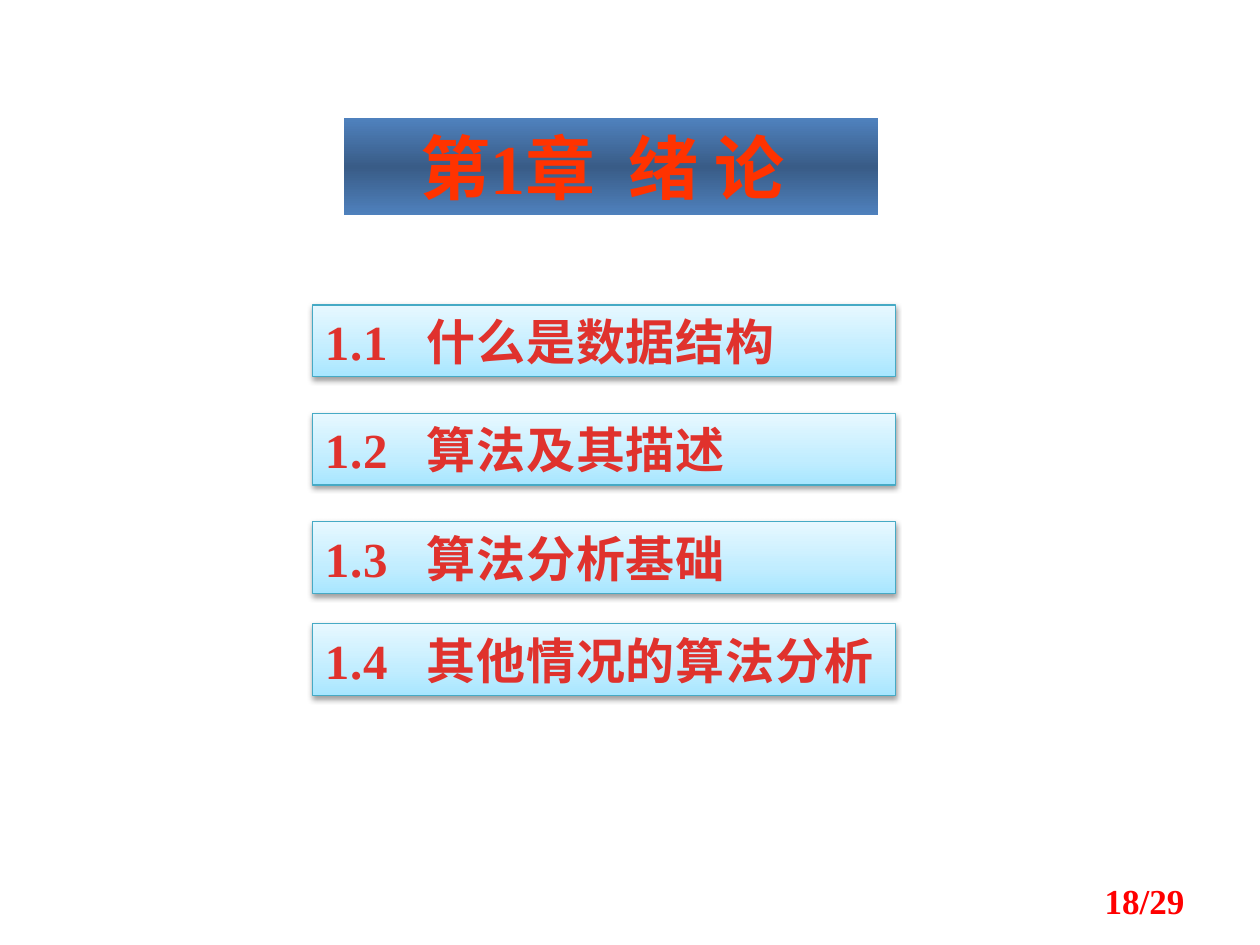
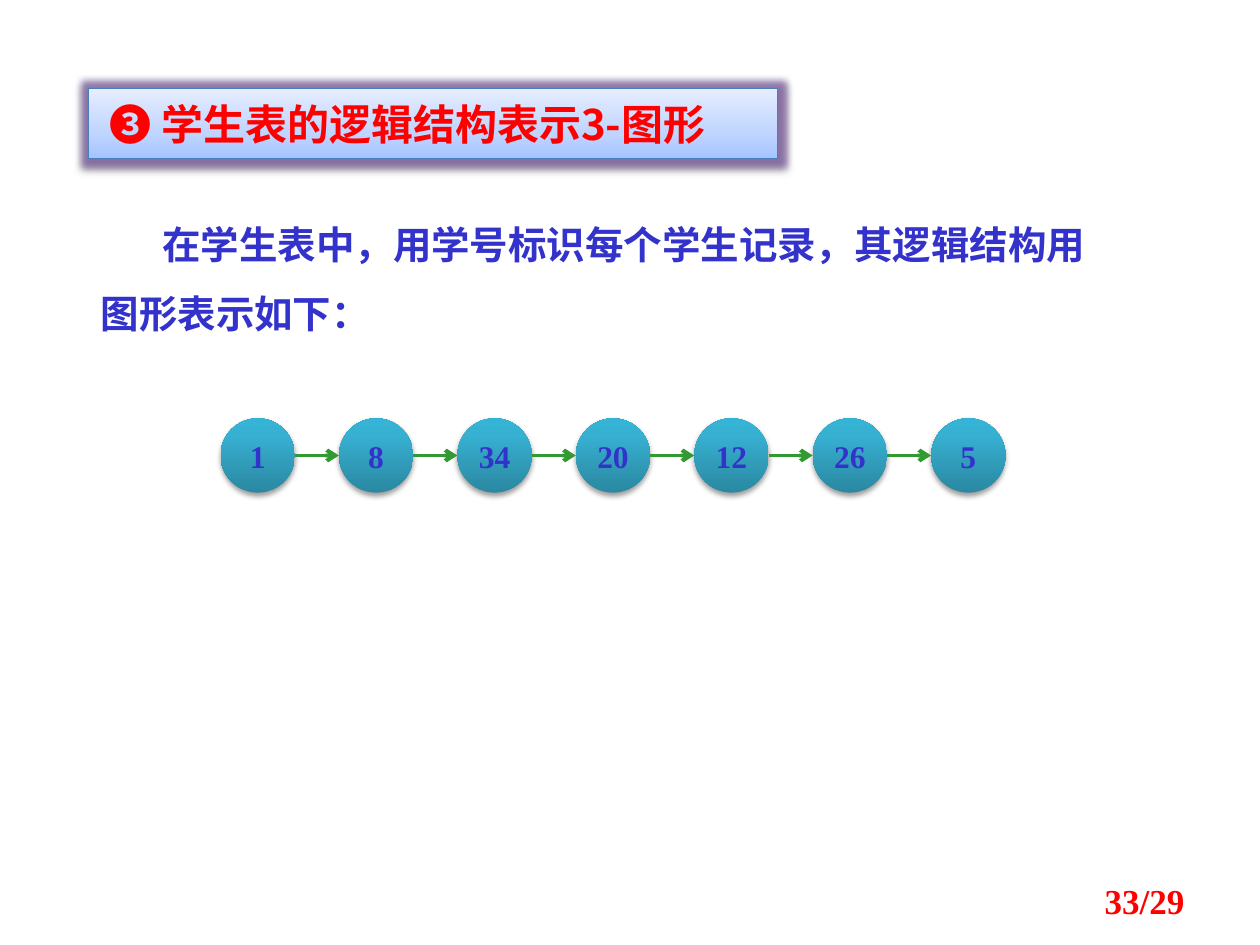
from pptx import Presentation
from pptx.dml.color import RGBColor
from pptx.enum.shapes import MSO_CONNECTOR as CONNECTOR, MSO_SHAPE as SHAPE
from pptx.enum.text import MSO_ANCHOR as ANCHOR, MSO_AUTO_SIZE as AUTO_SIZE, PP_ALIGN as ALIGN
from pptx.oxml import parse_xml
from pptx.oxml.ns import nsdecls, qn
from pptx.util import Inches, Pt

COLORS = {
    "chapter": "FF3300",
    "red": "FF0000",
    "blue": "3333CC",
    "arrow": "339933",
    "section_line": "46AAC5",
    "heading_line": "4B7EBC",
    "glow": "8064A2",
    "shadow": "000000",
}
GRADIENTS = {
    "chapter": [(0, "4F81BD"), (50, "395C87"), (100, "4F81BD")],
    "section": [(0, "A7E6FF"), (35, "C1EDFF"), (100, "E7F8FF")],
    "section_text": [(25, "E0322D"), (100, "A2201C")],
    "heading": [(0, "A4C4FF"), (35, "BFD4FF"), (100, "E6EEFF")],
    "node": [(0, "2A88A2"), (80, "37B1D2"), (100, "34B4D6")],
}
SERIF = "Times New Roman"
SANS = "Noto Sans CJK SC"


def xml(tag, attributes="", inner=""):
    return parse_xml(f"<a:{tag} {nsdecls('a')} {attributes}>{inner}</a:{tag}>")


def color_xml(color, alpha=100):
    return f'<a:srgbClr val="{color}"><a:alpha val="{alpha * 1000}"/></a:srgbClr>'


class SlideBuilder:
    """Hold the shared style and draw elements on the current slide."""

    def __init__(self, deck):
        self.deck = deck
        self.page = None

    def start(self, layout, number):
        self.page = self.deck.slides.add_slide(self.deck.slide_layouts[layout])
        box = self.page.shapes.add_textbox(*map(Inches, (7.17, 6.95, 2.33, 0.4)))
        self.set_text(box, [number], 20, "red", align=ALIGN.RIGHT)

    def place(self, shape, left, top, width, height):
        shape.left, shape.top = Inches(left), Inches(top)
        shape.width, shape.height = Inches(width), Inches(height)

    def shade(self, fill, element, gradient, angle):
        fill.gradient()
        fill.gradient_angle = angle
        stops = element.find(".//" + qn("a:gsLst"))
        for stop in list(stops):
            stops.remove(stop)
        for position, color in GRADIENTS[gradient]:
            stops.append(xml("gs", f'pos="{position * 1000}"', color_xml(color)))

    def outline(self, shape, color=None):
        if color:
            shape.line.color.rgb = RGBColor.from_string(COLORS[color])
            shape.line.width = Pt(0.75)
        else:
            shape.line.fill.background()

    def cast(self, shape, glow=False):
        shape.shadow.inherit = False
        effects = shape.element.spPr.find(qn("a:effectLst"))
        if glow:
            effects.append(xml("glow", f'rad="{Pt(8)}"', color_xml(COLORS["glow"], 80)))
        effects.append(xml(
            "outerShdw",
            f'blurRad="{Pt(3.1)}" dist="{Pt(1.7)}" dir="5400000" rotWithShape="0"',
            color_xml(COLORS["shadow"], 38)))

    def set_text(self, shape, spans, size, color=None, font=SERIF, align=ALIGN.LEFT, inset=0.1):
        frame = shape.text_frame
        frame.word_wrap = True
        frame.auto_size = AUTO_SIZE.NONE
        frame.vertical_anchor = ANCHOR.MIDDLE
        frame.margin_left = frame.margin_right = Inches(inset)
        frame.margin_top = frame.margin_bottom = Inches(0.05)
        para = frame.paragraphs[0]
        para.alignment = align
        para.space_before = Pt(0)
        for text in spans:
            span = para.add_run()
            span.text = text
            span.font.size = Pt(size)
            span.font.bold = True
            span.font.name = font
            if color:
                span.font.color.rgb = RGBColor.from_string(COLORS[color])
            span.font._element.find(qn("a:latin")).addnext(xml("ea", f'typeface="{SANS}"'))
        return para

    def chapter(self, spans):
        title = self.page.shapes.title
        self.place(title, 2.73, 0.94, 4.24, 0.77)
        self.shade(title.fill, title.element, "chapter", 270)
        para = self.set_text(title, spans, 40, "chapter", align=ALIGN.CENTER)
        title.text_frame.margin_right = Inches(0.24)
        para.runs[1].font._element.set("spc", "1000")

    def section(self, top, number, name):
        box = self.page.shapes.add_shape(
            SHAPE.RECTANGLE, *map(Inches, (2.48, top, 4.63, 0.57)))
        self.shade(box.fill, box.element, "section", 90)
        self.outline(box, "section_line")
        self.cast(box)
        para = self.set_text(box, [f"{number}\t{name}"], 28)
        tab = f'<a:tab pos="{Inches(0.81)}" algn="l"/>'
        para._p.get_or_add_pPr().append(xml("tabLst", "", tab))
        span = para.runs[0]
        self.shade(span.font.fill, span.font._element, "section_text", 270)
        span.font._element.set("spc", "50")

    def heading(self, text):
        title = self.page.shapes.title
        self.place(title, 0.7, 0.7, 5.47, 0.56)
        self.shade(title.fill, title.element, "heading", 90)
        self.outline(title, "heading_line")
        self.cast(title, glow=True)
        self.set_text(title, [text], 24, "red", font=SANS, inset=0.17)

    def body(self, text):
        box = self.page.placeholders[1]
        self.place(box, 0.7, 1.48, 8.13, 1.21)
        para = self.set_text(box, [text], 22, "blue")
        box.text_frame.vertical_anchor = ANCHOR.TOP
        box.text_frame.margin_top = Inches(0.09)
        para.line_spacing = Pt(39.5)
        properties = para._p.get_or_add_pPr()
        properties.set("marL", "0")
        properties.set("indent", str(Inches(0.49)))
        properties.append(xml("buNone"))

    def node(self, left, top, size, label):
        circle = self.page.shapes.add_shape(
            SHAPE.OVAL, *map(Inches, (left, top, size, size)))
        self.shade(circle.fill, circle.element, "node", 90)
        self.outline(circle)
        self.cast(circle)
        self.set_text(circle, [label], 18, "blue", align=ALIGN.CENTER, inset=0)

    def arrow(self, start, end, height):
        link = self.page.shapes.add_connector(
            CONNECTOR.STRAIGHT, *map(Inches, (start, height, end, height)))
        link.line.color.rgb = RGBColor.from_string(COLORS["arrow"])
        link.line.width = Pt(2.25)
        link.line._get_or_add_ln().append(xml("tailEnd", 'type="arrow"'))
        link.element.spPr.append(xml("effectLst"))


def build_contents(builder):
    builder.start(5, "18/29")
    builder.chapter(["第1章", " ", "绪 论"])
    sections = [
        (2.42, "什么是数据结构"),
        (3.28, "算法及其描述"),
        (4.14, "算法分析基础"),
        (4.95, "其他情况的算法分析"),
    ]
    for index, (top, name) in enumerate(sections, 1):
        builder.section(top, f"1.{index}", name)


def build_student_chain(builder):
    builder.start(1, "33/29")
    builder.heading("❸ 学生表的逻辑结构表示3-图形")
    builder.body("在学生表中，用学号标识每个学生记录，其逻辑结构用图形表示如下：")
    left, top, size, step = 1.75, 3.32, 0.59, 0.94
    student_ids = [1, 8, 34, 20, 12, 26, 5]
    for index, student_id in enumerate(student_ids):
        builder.node(left + index * step, top, size, str(student_id))
    for index in range(1, len(student_ids)):
        end = left + index * step
        builder.arrow(end - step + size, end, top + size / 2)


def main():
    deck = Presentation()
    deck.slide_width, deck.slide_height = Inches(10), Inches(7.5)
    builder = SlideBuilder(deck)
    build_contents(builder)
    build_student_chain(builder)
    deck.save("out.pptx")


if __name__ == "__main__":
    main()
